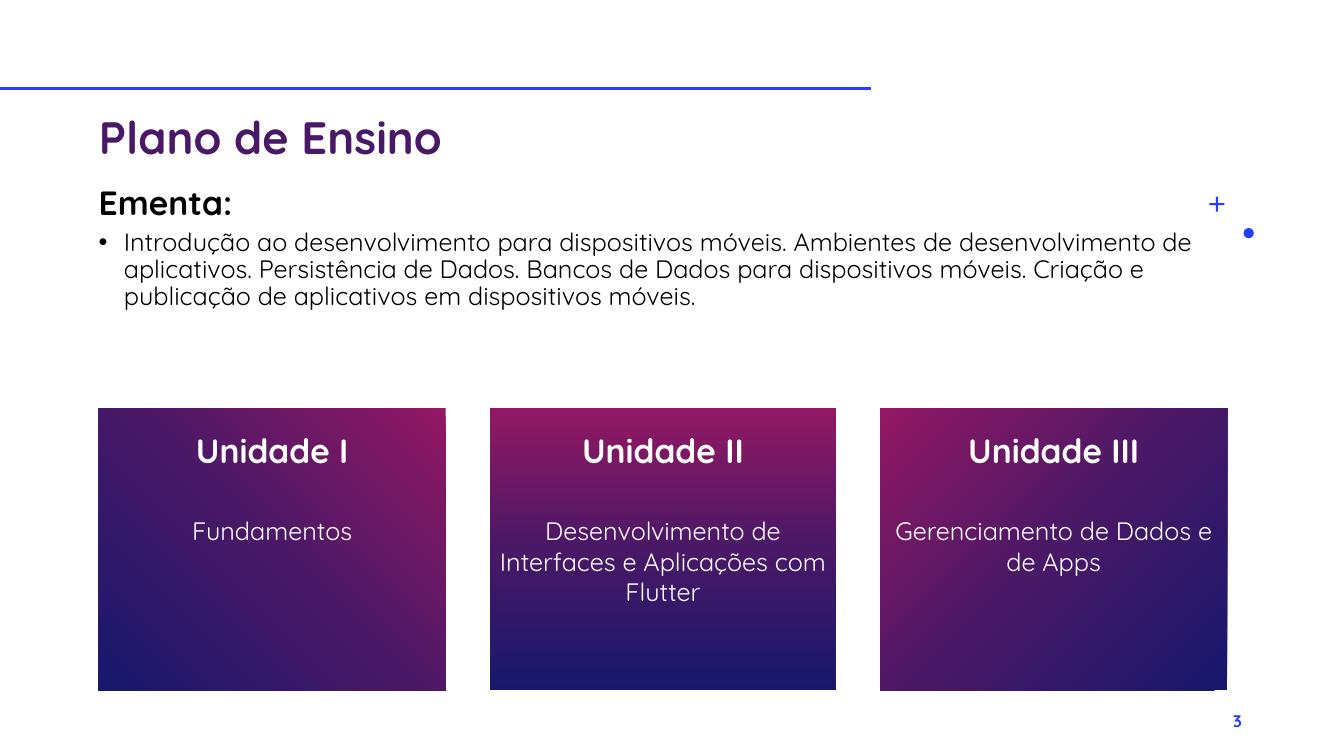
from lxml.etree import SubElement
from pptx import Presentation
from pptx.dml.color import RGBColor
from pptx.enum.shapes import MSO_CONNECTOR, MSO_SHAPE
from pptx.enum.text import MSO_ANCHOR, MSO_AUTO_SIZE, PP_ALIGN
from pptx.oxml.ns import qn
from pptx.util import Pt

FONT = "Quicksand"
BLUE, PURPLE, BLACK, WHITE = "243FFF", "491866", "000000", "FFFFFF"
GRADIENT = [(0, "17186C"), (50, PURPLE), (100, "931863")]
# Card title, content, and gradient angle (None means radial from bottom left)
UNITS = [
    ("Unidade I", "Fundamentos", None),
    ("Unidade II", "Desenvolvimento de Interfaces e Aplicações com Flutter", 270),
    ("Unidade III", "Gerenciamento de Dados e de Apps", 225),
]


def colour(value):
    return RGBColor.from_string(value)


def add_span(para, text, size, shade, bold=False):
    span = para.add_run()
    span.text = text
    span.font.name = FONT
    span.font.size = Pt(size)
    span.font.bold = bold
    span.font.color.rgb = colour(shade)
    return span


def add_box(page, left, top, width, height, align=PP_ALIGN.LEFT):
    """Add a wrapping text box and return its frame."""
    frame = page.shapes.add_textbox(Pt(left), Pt(top), Pt(width), Pt(height)).text_frame
    frame.word_wrap = True
    frame.paragraphs[0].alignment = align
    return frame


def add_plain_shape(page, kind, left, top, width, height, fill=BLUE):
    shape = page.shapes.add_shape(kind, Pt(left), Pt(top), Pt(width), Pt(height))
    shape.shadow.inherit = False
    shape.line.fill.background()
    shape.fill.solid()
    shape.fill.fore_color.rgb = colour(fill)
    return shape


def set_gradient(shape, angle):
    """Replace the solid fill with the three-stop gradient."""
    properties = shape.fill._xPr
    solid = properties.find(qn("a:solidFill"))
    gradient = SubElement(properties, qn("a:gradFill"), rotWithShape="1")
    properties.replace(solid, gradient)
    stops = SubElement(gradient, qn("a:gsLst"))
    for position, shade in GRADIENT:
        stop = SubElement(stops, qn("a:gs"), pos=str(position * 1000))
        SubElement(stop, qn("a:srgbClr"), val=shade)
    if angle is None:
        circle = SubElement(gradient, qn("a:path"), path="circle")
        SubElement(circle, qn("a:fillToRect"), t="100000", r="100000")
    else:
        SubElement(gradient, qn("a:lin"), ang=str(angle * 60000), scaled="0")


def add_decoration(page):
    # Top rule
    rule = page.shapes.add_connector(
        MSO_CONNECTOR.STRAIGHT, Pt(0), Pt(63.4), Pt(622.4), Pt(63.4))
    rule.line.color.rgb = colour(BLUE)
    rule.line.width = Pt(2)
    SubElement(rule._element.spPr, qn("a:effectLst"))
    # Dot and plus sign
    add_plain_shape(page, MSO_SHAPE.OVAL, 888.3, 162.9, 7.3, 7.3)
    plus = add_plain_shape(page, MSO_SHAPE.CROSS, 863.8, 140.4, 10.8, 10.8)
    plus.adjustments[0] = 0.43


def add_title(page, left, top, width, height):
    title = page.shapes.title
    title.left, title.top, title.width, title.height = map(Pt, (left, top, width, height))
    frame = title.text_frame
    frame.auto_size = MSO_AUTO_SIZE.NONE
    frame.vertical_anchor = MSO_ANCHOR.BOTTOM
    para = frame.paragraphs[0]
    para.alignment = PP_ALIGN.LEFT
    para.line_spacing = 0.9
    add_span(para, "Plano de Ensino", 32.4, PURPLE, True)


def add_syllabus(page, left, top, width, height):
    frame = add_box(page, left, top, width, height)
    heading = frame.paragraphs[0]
    heading.line_spacing = 1.1
    add_span(heading, "Ementa:", 24, BLACK, True)
    # Bulleted summary
    para = frame.add_paragraph()
    properties = para._p.get_or_add_pPr()
    properties.set("marL", str(Pt(18)))
    properties.set("indent", str(Pt(-18)))
    SubElement(properties, qn("a:buFont"), typeface="Arial")
    SubElement(properties, qn("a:buChar"), char="•")
    para.line_spacing = 0.9
    para.space_before = Pt(5)
    add_span(para, "Introdução ao desenvolvimento para dispositivos móveis. "
                   "Ambientes de desenvolvimento de aplicativos. Persistência de Dados. "
                   "Bancos de Dados para dispositivos móveis. Criação e publicação de "
                   "aplicativos em dispositivos móveis.", 18, BLACK)


def add_unit_card(page, left, top, width, height, unit):
    name, content, angle = unit
    card = add_plain_shape(page, MSO_SHAPE.RECTANGLE, left, top, width, height, PURPLE)
    set_gradient(card, angle)
    heading = add_box(page, left, top + 12.2, width, 36, PP_ALIGN.CENTER)
    add_span(heading.paragraphs[0], name, 24, WHITE, True)
    body = add_box(page, left, top + 73.2, width, 73, PP_ALIGN.CENTER)
    add_span(body.paragraphs[0], content, 18, WHITE)


def add_page_number(page, left, top, width, height):
    frame = add_box(page, left, top, width, height, PP_ALIGN.RIGHT)
    frame.vertical_anchor = MSO_ANCHOR.MIDDLE
    span = add_span(frame.paragraphs[0], "3", 12, BLUE, True)
    span.font._element.set("spc", "100")


def main():
    deck = Presentation()
    deck.slide_width, deck.slide_height = Pt(960), Pt(540)
    page = deck.slides.add_slide(deck.slide_layouts[5])
    add_decoration(page)
    add_title(page, 63.4, 77.8, 487.4, 43.2)
    add_syllabus(page, 63.4, 123.8, 830.9, 141.8)
    for index, unit in enumerate(UNITS):
        add_unit_card(page, 70.6 + 279.1 * index, 291.6, 247.7, 201.6, unit)
    add_page_number(page, 678.2, 500.4, 216, 28.8)
    deck.save("out.pptx")


if __name__ == "__main__":
    main()
